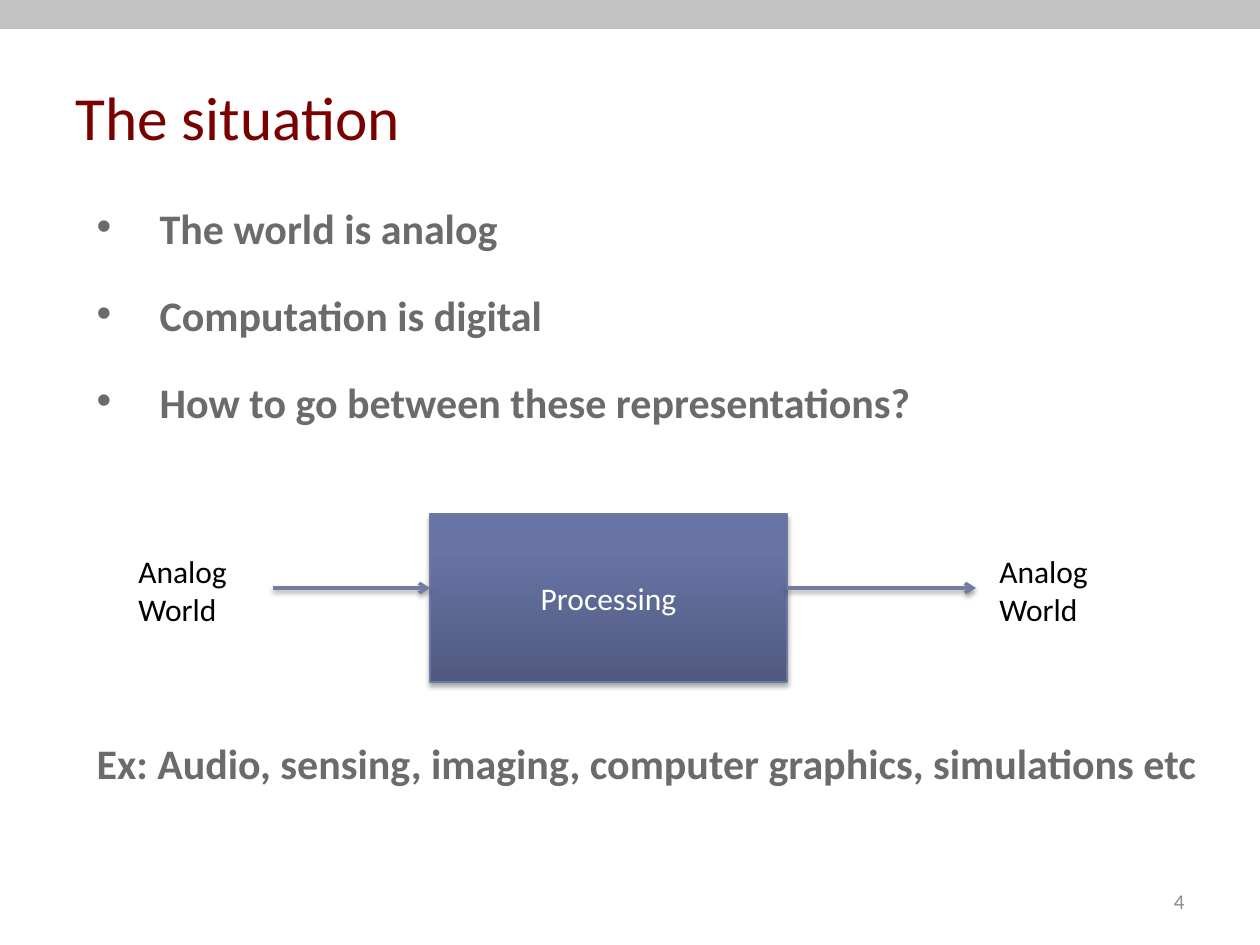
from lxml.etree import SubElement
from pptx import Presentation
from pptx.dml.color import RGBColor
from pptx.enum.shapes import MSO_CONNECTOR, MSO_SHAPE
from pptx.enum.text import MSO_ANCHOR, MSO_AUTO_SIZE, PP_ALIGN
from pptx.oxml.ns import qn
from pptx.util import Emu, Pt

SCALE = 914400 / 126  # EMU in one px
THEME = {
    "bar": RGBColor.from_string("757575"),
    "dark": RGBColor.from_string("50597F"),
    "light": RGBColor.from_string("6774A5"),
    "edge": RGBColor.from_string("6E79A1"),
    "arrow": RGBColor.from_string("727CA3"),
    "title": {"size": Pt(35), "color": "7A0000", "bold": False},
    "body": {"size": Pt(24), "color": "6B6B6B", "bold": True},
    "box": {"size": Pt(18), "color": "FFFFFF", "bold": False},
    "label": {"size": Pt(18), "color": "000000", "bold": False},
    "page": {"size": Pt(12), "color": "8C8C8C", "bold": False},
}


def px(*vals):
    return [Emu(round(v * SCALE)) for v in vals]


def style(para, kind, align=PP_ALIGN.LEFT):
    para.alignment = align
    para.font.name = "Calibri"
    for key, val in THEME[kind].items():
        if key == "color":
            para.font.color.rgb = RGBColor.from_string(val)
        else:
            setattr(para.font, key, val)


prs = Presentation()
prs.slide_width, prs.slide_height = px(1260, 945)
slide = prs.slides.add_slide(prs.slide_layouts[1])
shapes = slide.shapes

# Top bar
bar = shapes.add_shape(MSO_SHAPE.RECTANGLE, *px(0, 0, 1260, 29))
bar.shadow.inherit = False
bar.fill.solid()
bar.fill.fore_color.rgb = THEME["bar"]
bar.line.fill.background()
tint = bar._element.spPr.find(".//" + qn("a:srgbClr"))
SubElement(tint, qn("a:alpha"), val="44000")

# Title and list
title, body = shapes.title, slide.placeholders[1]
for holder, place in ((title, (63, 38, 1134, 157)), (body, (84, 210, 1134, 624))):
    holder.left, holder.top, holder.width, holder.height = px(*place)
    holder.text_frame.auto_size = MSO_AUTO_SIZE.NONE
title.text_frame.text = "The situation"
title.text_frame.vertical_anchor = MSO_ANCHOR.MIDDLE
style(title.text_frame.paragraphs[0], "title")

items = [
    ("The world is analog", "•", 0),
    ("Computation is digital", "•", 29.5),
    ("How to go between these representations?", "•", 29.5),
    ("Ex: Audio, sensing, imaging, computer graphics, simulations etc", None, 186.5),
]
body.text_frame.text = "\n".join(item[0] for item in items)
for para, (text, mark, gap) in zip(body.text_frame.paragraphs, items):
    props = para._p.get_or_add_pPr()
    props.set("marL", str(px(63)[0]))
    props.set("indent", str(px(-63)[0]))
    if mark:
        SubElement(props, qn("a:buChar"), char=mark)
    else:
        SubElement(props, qn("a:buNone"))
    para.line_spacing = 0.7
    para.space_before = Pt(gap)
    style(para, "body")

# Processing box
box = shapes.add_shape(MSO_SHAPE.RECTANGLE, *px(430, 514, 357, 168))
box.fill.gradient()
box.fill.gradient_angle = 90
for stop, name, pos in zip(box.fill.gradient_stops, ("dark", "light"), (0, 0.8)):
    stop.color.rgb = THEME[name]
    stop.position = pos
box.line.color.rgb = THEME["edge"]
box.line.width = Pt(0.75)
box.text_frame.text = "Processing"
box.text_frame.vertical_anchor = MSO_ANCHOR.MIDDLE
style(box.text_frame.paragraphs[0], "box", PP_ALIGN.CENTER)

# Arrows into and out of the box
arrows = []
for start, end in ((273, 430), (787, 976)):
    arrow = shapes.add_connector(MSO_CONNECTOR.STRAIGHT, *px(start, 588, end, 588))
    arrow.line.color.rgb = THEME["arrow"]
    arrow.line.width = Pt(2)
    SubElement(arrow._element.spPr.find(qn("a:ln")), qn("a:tailEnd"), type="arrow")
    arrows.append(arrow)

# Soft shadows below the box and the arrows
for shape, dist, alpha in ((box, 1.8, 35), *((arrow, 1.6, 38) for arrow in arrows)):
    effect = SubElement(shape._element.spPr, qn("a:effectLst"))
    shade = SubElement(effect, qn("a:outerShdw"), blurRad=str(Pt(3.1)),
                       dist=str(Pt(dist)), dir="5400000", rotWithShape="0")
    black = SubElement(shade, qn("a:srgbClr"), val="000000")
    SubElement(black, qn("a:alpha"), val=str(alpha * 1000))

# Labels and page number
for text, place, kind, align, anchor in (
    ("Analog\vWorld", (126, 546, 137, 97), "label", PP_ALIGN.LEFT, MSO_ANCHOR.TOP),
    ("Analog\vWorld", (987, 546, 137, 97), "label", PP_ALIGN.LEFT, MSO_ANCHOR.TOP),
    ("4", (903, 876, 294, 50), "page", PP_ALIGN.RIGHT, MSO_ANCHOR.MIDDLE),
):
    frame = shapes.add_textbox(*px(*place)).text_frame
    frame.word_wrap = True
    frame.vertical_anchor = anchor
    frame.text = text
    style(frame.paragraphs[0], kind, align)

prs.save("out.pptx")
